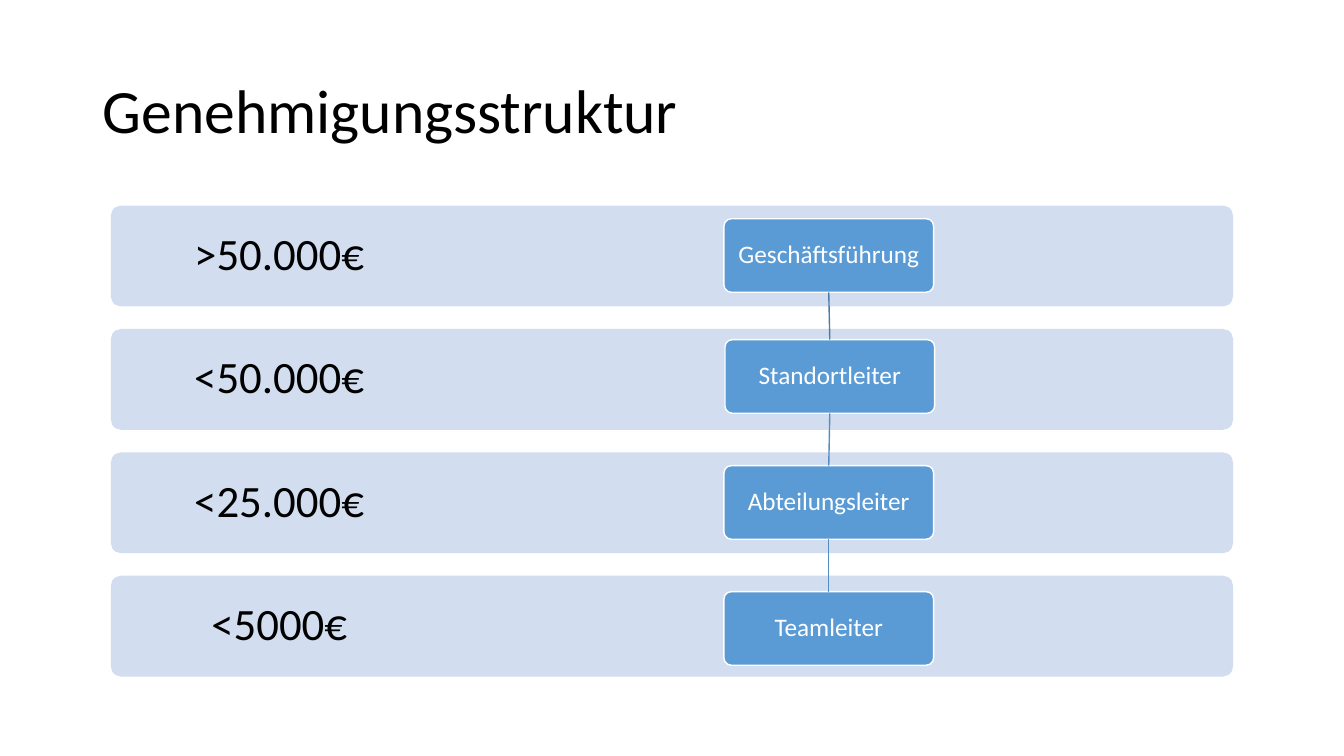
from lxml import etree
from pptx import Presentation
from pptx.dml.color import RGBColor
from pptx.enum.shapes import MSO_CONNECTOR, MSO_SHAPE
from pptx.enum.text import MSO_ANCHOR, MSO_AUTO_SIZE, PP_ALIGN
from pptx.oxml.ns import qn
from pptx.util import Inches, Pt

LEVELS = [
    (">50.000€", "Geschäftsführung", 7.18, 2.17),
    ("<50.000€", "Standortleiter", 7.19, 3.37),
    ("<25.000€", "Abteilungsleiter", 7.18, 4.62),
    ("<5000€", "Teamleiter", 7.18, 5.87),
]
LINE_COLORS = ["497CAB", "538DC1", "538DC1"]
BAND_LEFT, BAND_TOP, BAND_STEP, BAND_HEIGHT = 1.1, 2.04, 1.224, 1


def rgb(value):
    return RGBColor.from_string(value)


def set_text(sp, text, size, color="000000", align=PP_ALIGN.CENTER, inset=0.1):
    tf = sp.text_frame
    tf.word_wrap = True
    tf.auto_size = MSO_AUTO_SIZE.NONE
    tf.vertical_anchor = MSO_ANCHOR.MIDDLE
    tf.margin_left = tf.margin_right = Inches(inset)
    tf.margin_top = tf.margin_bottom = Inches(inset)
    p = tf.paragraphs[0]
    p.alignment = align
    p.line_spacing = 0.9
    r = p.add_run()
    r.text = text
    r.font.name = "Calibri"
    r.font.size = Pt(size)
    r.font.color.rgb = rgb(color)


def add_title(s, text):
    sp = s.shapes.title
    sp.left, sp.top = Inches(0.92), Inches(0.4)
    sp.width, sp.height = Inches(11.5), Inches(1.45)
    set_text(sp, text, 44, align=PP_ALIGN.LEFT)


def add_round_box(s, left, top, width, height, fill, line=None):
    sp = s.shapes.add_shape(MSO_SHAPE.ROUNDED_RECTANGLE, Inches(left),
                            Inches(top), Inches(width), Inches(height))
    sp.adjustments[0] = 0.1
    sp.shadow.inherit = False
    sp.fill.solid()
    sp.fill.fore_color.rgb = rgb(fill)
    if line:
        sp.line.color.rgb = rgb(line)
        sp.line.width = Pt(1)
    else:
        sp.line.fill.background()
    return sp


def add_band(s, top, limit):
    add_round_box(s, BAND_LEFT, top, 11.13, BAND_HEIGHT, "D2DEEF")
    sp = s.shapes.add_textbox(Inches(BAND_LEFT), Inches(top),
                              Inches(3.34), Inches(BAND_HEIGHT))
    set_text(sp, limit, 32, inset=0.25)


def add_role(s, left, top, role):
    sp = add_round_box(s, left, top, 2.08, 0.73, "5B9BD5", "FFFFFF")
    set_text(sp, role, 18, "FFFFFF", inset=0.07)
    return sp


def add_link(s, upper, lower, color):
    line = s.shapes.add_connector(MSO_CONNECTOR.STRAIGHT, 0, 0, 0, 0)
    line.begin_connect(upper, 2)
    line.end_connect(lower, 0)
    line.line.color.rgb = rgb(color)
    line.line.width = Pt(1)
    etree.SubElement(line._element.spPr, qn("a:effectLst"))


def main():
    """Build the slide of approval limits and the roles that approve them."""
    prs = Presentation()
    prs.slide_width, prs.slide_height = Inches(13.33), Inches(7.5)
    s = prs.slides.add_slide(prs.slide_layouts[5])
    add_title(s, "Genehmigungsstruktur")
    for i, (limit, *_) in enumerate(LEVELS):
        add_band(s, BAND_TOP + i * BAND_STEP, limit)
    roles = [add_role(s, left, top, role) for _, role, left, top in LEVELS]
    for upper, lower, color in zip(roles, roles[1:], LINE_COLORS):
        add_link(s, upper, lower, color)
    prs.save("out.pptx")


if __name__ == "__main__":
    main()
